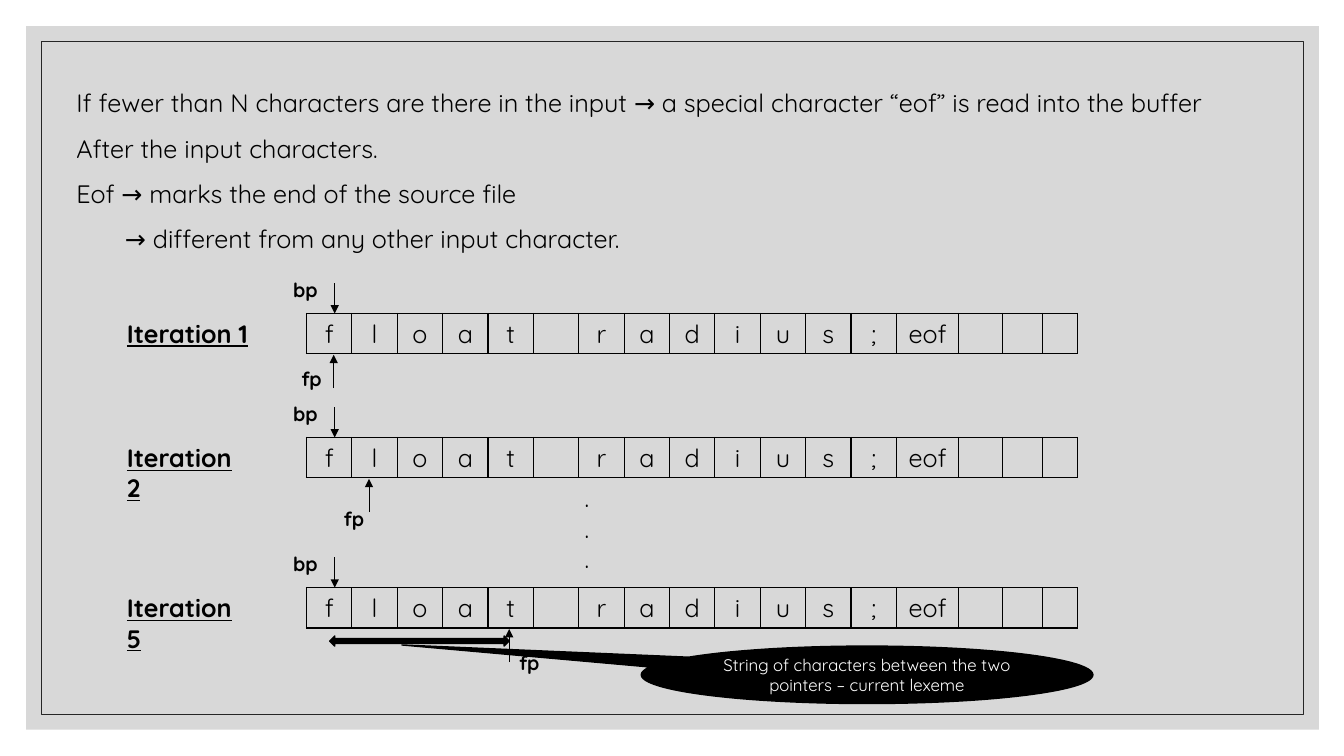
from lxml import etree
from pptx import Presentation
from pptx.dml.color import RGBColor
from pptx.enum.shapes import MSO_CONNECTOR as Connector, MSO_SHAPE as Shape
from pptx.enum.text import MSO_ANCHOR as Anchor, MSO_AUTO_SIZE as AutoSize, PP_ALIGN as Align
from pptx.oxml import parse_xml
from pptx.oxml.ns import nsdecls, qn
from pptx.util import Inches, Pt

BLACK, WHITE, GRAY, FRAME = "000000", "FFFFFF", "BFBFBF", "262626"
BODY = {"size": Pt(18)}
HEADING = {"size": Pt(18), "bold": True, "underline": True}
POINTER = {"size": Pt(14), "bold": True}
CALLOUT = {"size": Pt(12)}

INTRO = [
    "If fewer than N characters are there in the input → a special character “eof” is read into the buffer",
    "After the input characters.",
    "Eof → marks the end of the source file",
    "→ different from any other input character.",
]
BUFFER = [*"float", "", *"radius;", "eof", "", "", ""]
COLUMN_WIDTHS = [0.45] * 13 + [0.62, 0.43, 0.4, 0.35]
BUFFER_LEFT, BUFFER_HEIGHT = 3.04, 0.4
ITERATIONS = [
    (1, 3.11, 3.31, 2.89, 0.48),
    (2, 4.34, 3.66, 3.31, 0.64),
    (5, 5.83, 5.05, 5.05, 0.58),
]


def rgb(color):
    return RGBColor.from_string(color)


class SlideBuilder:
    font_name = "Quicksand"

    def __init__(self, slide):
        self.slide = slide

    def fill_text(self, frame, lines, font, color=BLACK, **layout):
        for index, line in enumerate(lines):
            paragraph = frame.paragraphs[0] if index == 0 else frame.add_paragraph()
            for name, value in layout.items():
                setattr(paragraph, name, value)
            run = paragraph.add_run()
            run.text = line
            for name, value in {"name": self.font_name, **font}.items():
                setattr(run.font, name, value)
            run.font.color.rgb = rgb(color)

    def text(self, box, lines, font, wrap=True, **layout):
        shape = self.slide.shapes.add_textbox(*map(Inches, box))
        frame = shape.text_frame
        frame.word_wrap = wrap
        frame.auto_size = AutoSize.SHAPE_TO_FIT_TEXT
        self.fill_text(frame, lines, font, **layout)
        return frame

    def shape(self, kind, box, fill=None, line=None, width=1, alpha=None):
        shape = self.slide.shapes.add_shape(kind, *map(Inches, box))
        shape.shadow.inherit = False
        if fill:
            shape.fill.solid()
            shape.fill.fore_color.rgb = rgb(fill)
        else:
            shape.fill.background()
        if alpha:
            color = shape._element.spPr.find(".//" + qn("a:srgbClr"))
            etree.SubElement(color, qn("a:alpha"), val=str(alpha * 1000))
        if line:
            shape.line.color.rgb = rgb(line)
            shape.line.width = Pt(width)
        else:
            shape.line.fill.background()
        return shape

    def arrow(self, x, start, end):
        connector = self.slide.shapes.add_connector(
            Connector.STRAIGHT, Inches(x), Inches(start), Inches(x), Inches(end))
        connector.line.color.rgb = rgb(BLACK)
        connector.line.width = Pt(0.5)
        properties = connector._element.spPr
        etree.SubElement(properties.find(qn("a:ln")), qn("a:tailEnd"), type="triangle")
        etree.SubElement(properties, qn("a:effectLst"))

    def buffer(self, top):
        graphic = self.slide.shapes.add_table(
            1, len(BUFFER), Inches(BUFFER_LEFT), Inches(top),
            Inches(sum(COLUMN_WIDTHS)), Inches(BUFFER_HEIGHT))
        table = graphic.table
        table.first_row = table.horz_banding = False
        for column, width in zip(table.columns, COLUMN_WIDTHS):
            column.width = Inches(width)
        for cell, character in zip(table.rows[0].cells, BUFFER):
            cell.vertical_anchor = Anchor.MIDDLE
            properties = cell._tc.get_or_add_tcPr()
            for side in "LRTB":
                properties.append(parse_xml(
                    f'<a:ln{side} {nsdecls("a")} w="12700"><a:solidFill>'
                    f'<a:srgbClr val="{BLACK}"/></a:solidFill></a:ln{side}>'))
            cell.fill.background()
            if character:
                self.fill_text(cell.text_frame, [character], BODY, alignment=Align.CENTER)

    def iteration(self, number, top, forward_x, label_left, label_drop):
        self.buffer(top)
        self.text((1.16, top, 1.42, 0.4), [f"Iteration {number}"], HEADING)
        self.arrow(3.32, top - 0.3, top)
        self.arrow(forward_x, top + 0.74, top + 0.41)
        self.text((2.81, top - 0.4, 0.46, 0.34), ["bp"], POINTER, wrap=False)
        self.text((label_left, top + label_drop, 0.46, 0.34), ["fp"], POINTER, wrap=False)


def main():
    presentation = Presentation()
    presentation.slide_width = Inches(13.33)
    presentation.slide_height = Inches(7.5)
    builder = SlideBuilder(presentation.slides.add_slide(presentation.slide_layouts[6]))

    builder.shape(Shape.RECTANGLE, (0.26, 0.26, 12.82, 6.98), fill=GRAY, alpha=60)
    builder.shape(Shape.RECTANGLE, (0.41, 0.41, 12.52, 6.68), line=FRAME, width=0.5)

    intro = builder.text((0.66, 0.67, 12.22, 1.86), INTRO, BODY, line_spacing=1.5)
    intro.paragraphs[-1]._p.get_or_add_pPr().set("marL", str(Inches(0.48)))

    for iteration in ITERATIONS:
        builder.iteration(*iteration)

    builder.shape(Shape.LEFT_RIGHT_ARROW, (3.27, 6.31, 1.78, 0.1), fill=BLACK, line=BLACK)
    callout = builder.shape(Shape.OVAL_CALLOUT, (6.36, 6.41, 4.48, 0.57), fill=BLACK, line=BLACK)
    callout.adjustments[0] = -1.03
    callout.adjustments[1] = -0.52
    callout.text_frame.word_wrap = True
    callout.text_frame.vertical_anchor = Anchor.MIDDLE
    builder.fill_text(callout.text_frame,
                      ["String of characters between the two pointers – current lexeme"],
                      CALLOUT, WHITE, alignment=Align.CENTER)
    builder.text((5.7, 4.74, 0.27, 1.01), ["."] * 3, BODY)

    presentation.save("out.pptx")


if __name__ == "__main__":
    main()
